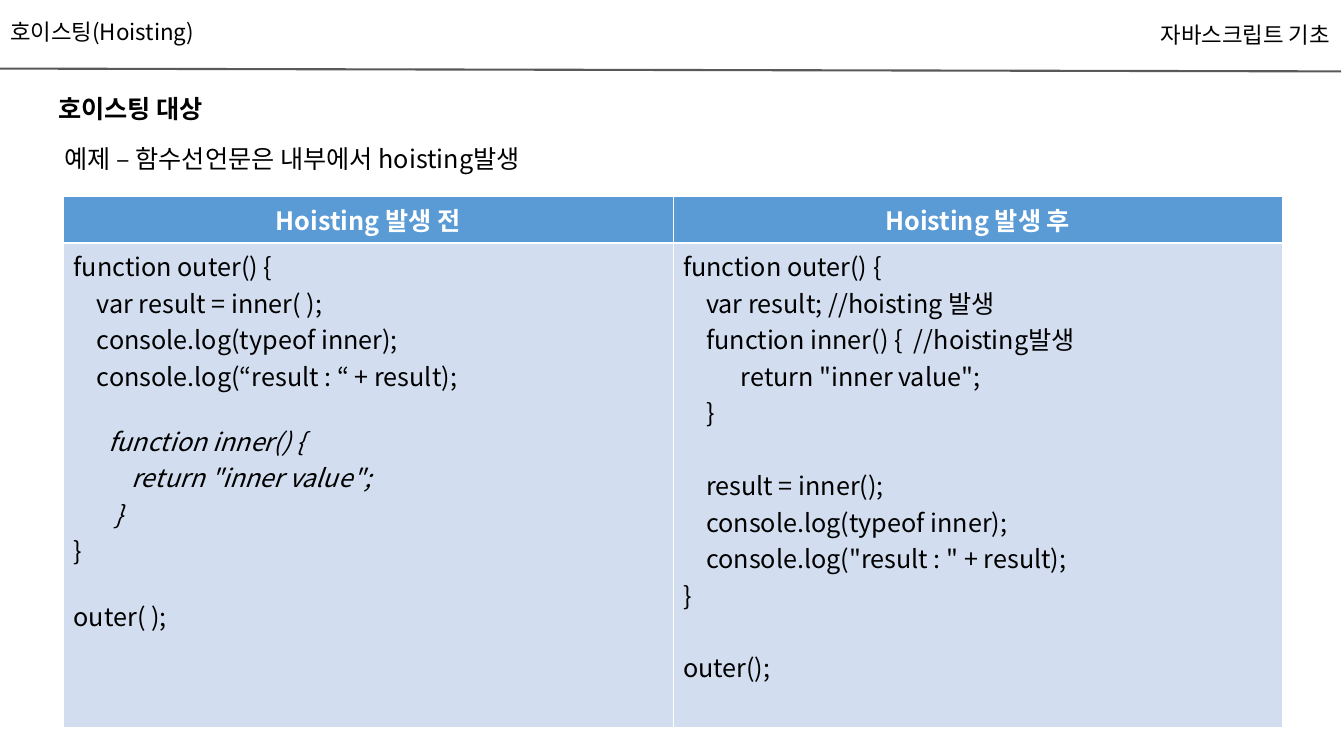
import pptx
import pptx.util
import pptx.dml.color
import pptx.enum.shapes
import pptx.enum.text
import pptx.oxml.ns
import lxml.etree

Pt = pptx.util.Pt
RGBColor = pptx.dml.color.RGBColor
Align = pptx.enum.text.PP_ALIGN
Anchor = pptx.enum.text.MSO_ANCHOR
qn = pptx.oxml.ns.qn

BLACK = RGBColor(0x00, 0x00, 0x00)
WHITE = RGBColor(0xFF, 0xFF, 0xFF)
GRAY = RGBColor(0x59, 0x59, 0x59)
BLUE = RGBColor(0x5B, 0x9B, 0xD5)
PALE_BLUE = RGBColor(0xD2, 0xDE, 0xEF)
FONT = "Noto Sans CJK KR"
STEP = 4.13

HEADERS = ["Hoisting 발생 전", "Hoisting 발생 후"]
# Each code line: text, indent in spaces, gap above in points, italic
CODE_BEFORE = [
    ("function outer() {", 0, 0, False),
    ("var result = inner( );", 4, 0, False),
    ("console.log(typeof inner);", 4, 0, False),
    ("console.log(“result : “ + result);", 4, 0, False),
    ("function inner() {", 6, 20.5, True),
    ("return \"inner value\";", 10, 0, True),
    ("}", 7, 0, True),
    ("}", 0, 0, False),
    ("outer( );", 0, 20.5, False),
]
CODE_AFTER = [
    ("function outer() {", 0, 0, False),
    ("var result; //hoisting 발생", 4, 0, False),
    ("function inner() {  //hoisting발생", 4, 0, False),
    ("return \"inner value\";", 10, 0, False),
    ("}", 4, 0, False),
    ("result = inner();", 4, 26, False),
    ("console.log(typeof inner);", 4, 0, False),
    ("console.log(\"result : \" + result);", 4, 0, False),
    ("}", 0, 0, False),
    ("outer();", 0, 26, False),
]


def add_span(para, text, size=18, color=BLACK, bold=False, italic=False):
    span = para.add_run()
    span.text = text
    font = span.font
    font.name, font.size, font.bold, font.italic = FONT, Pt(size), bold, italic
    font.color.rgb = color
    east_asian = lxml.etree.SubElement(span._r.get_or_add_rPr(), qn("a:ea"))
    east_asian.set("typeface", FONT)


def set_indent(para, points):
    properties = para._p.get_or_add_pPr()
    properties.set("marL", str(Pt(points)))
    properties.set("indent", "0")


def fill_header(box, text, align):
    frame = box.text_frame
    frame.word_wrap = True
    frame.auto_size = pptx.enum.text.MSO_AUTO_SIZE.NONE
    frame.vertical_anchor = Anchor.MIDDLE
    para = frame.paragraphs[0]
    para.alignment = align
    para.line_spacing = 0.9
    add_span(para, text, 16)


def add_rule(page):
    rule = page.shapes.add_connector(
        pptx.enum.shapes.MSO_CONNECTOR.STRAIGHT, Pt(0), Pt(49), Pt(958.5), Pt(51))
    rule.line.color.rgb = GRAY
    rule.line.width = Pt(1.5)
    lxml.etree.SubElement(rule._element.spPr, qn("a:effectLst"))


def add_body(page):
    box = page.shapes.add_shape(
        pptx.enum.shapes.MSO_SHAPE.RECTANGLE, Pt(34.5), Pt(52), Pt(891.5), Pt(484))
    box.shadow.inherit = False
    box.fill.background()
    box.line.color.rgb = WHITE
    box.line.width = Pt(0.75)
    frame = box.text_frame
    frame.word_wrap = True
    frame.vertical_anchor = Anchor.TOP
    lines = [("호이스팅 대상", True, 0), ("예제 – 함수선언문은 내부에서 hoisting발생", False, 4.5)]
    for index, (text, bold, indent) in enumerate(lines):
        para = frame.add_paragraph() if index else frame.paragraphs[0]
        para.alignment = Align.LEFT
        para.line_spacing = 1.5
        para.space_before = Pt(4 * index)
        set_indent(para, indent)
        add_span(para, text, bold=bold)


def format_cell(cell, color, top, bottom):
    properties = cell._tc.get_or_add_tcPr()
    for side, width in (("L", 0.45), ("R", 0.45), ("T", top), ("B", bottom)):
        border = lxml.etree.SubElement(properties, qn("a:ln" + side), w=str(Pt(width)))
        solid = lxml.etree.SubElement(border, qn("a:solidFill"))
        lxml.etree.SubElement(solid, qn("a:srgbClr"), val=str(WHITE))
    cell.fill.solid()
    cell.fill.fore_color.rgb = color


def add_code(cell, lines):
    frame = cell.text_frame
    for index, (text, indent, gap, italic) in enumerate(lines):
        para = frame.add_paragraph() if index else frame.paragraphs[0]
        set_indent(para, indent * STEP)
        para.space_before = Pt(gap)
        add_span(para, text, italic=italic)


def add_comparison(page):
    table = page.shapes.add_table(2, 2, Pt(45.5), Pt(140), Pt(871), Pt(379)).table
    table.horz_banding = False
    for column in table.columns:
        column.width = Pt(435.5)
    for row, height in zip(table.rows, (33, 346)):
        row.height = Pt(height)
    for index, (header, code) in enumerate(zip(HEADERS, (CODE_BEFORE, CODE_AFTER))):
        head, body = table.cell(0, index), table.cell(1, index)
        format_cell(head, BLUE, 0.45, 1.47)
        format_cell(body, PALE_BLUE, 1.47, 0.45)
        para = head.text_frame.paragraphs[0]
        para.alignment = Align.CENTER
        add_span(para, header, color=WHITE, bold=True)
        add_code(body, code)


def main():
    deck = pptx.Presentation()
    deck.slide_width, deck.slide_height = Pt(960.5), Pt(540)
    page = deck.slides.add_slide(deck.slide_layouts[5])
    add_body(page)
    title = page.shapes.title
    title.left, title.top, title.width, title.height = Pt(0), Pt(-1), Pt(374.5), Pt(49)
    fill_header(title, "호이스팅(Hoisting)", Align.LEFT)
    add_rule(page)
    course = page.shapes.add_textbox(Pt(684.5), Pt(1.5), Pt(273), Pt(49))
    fill_header(course, "자바스크립트 기초", Align.RIGHT)
    add_comparison(page)
    deck.save("out.pptx")


if __name__ == "__main__":
    main()
